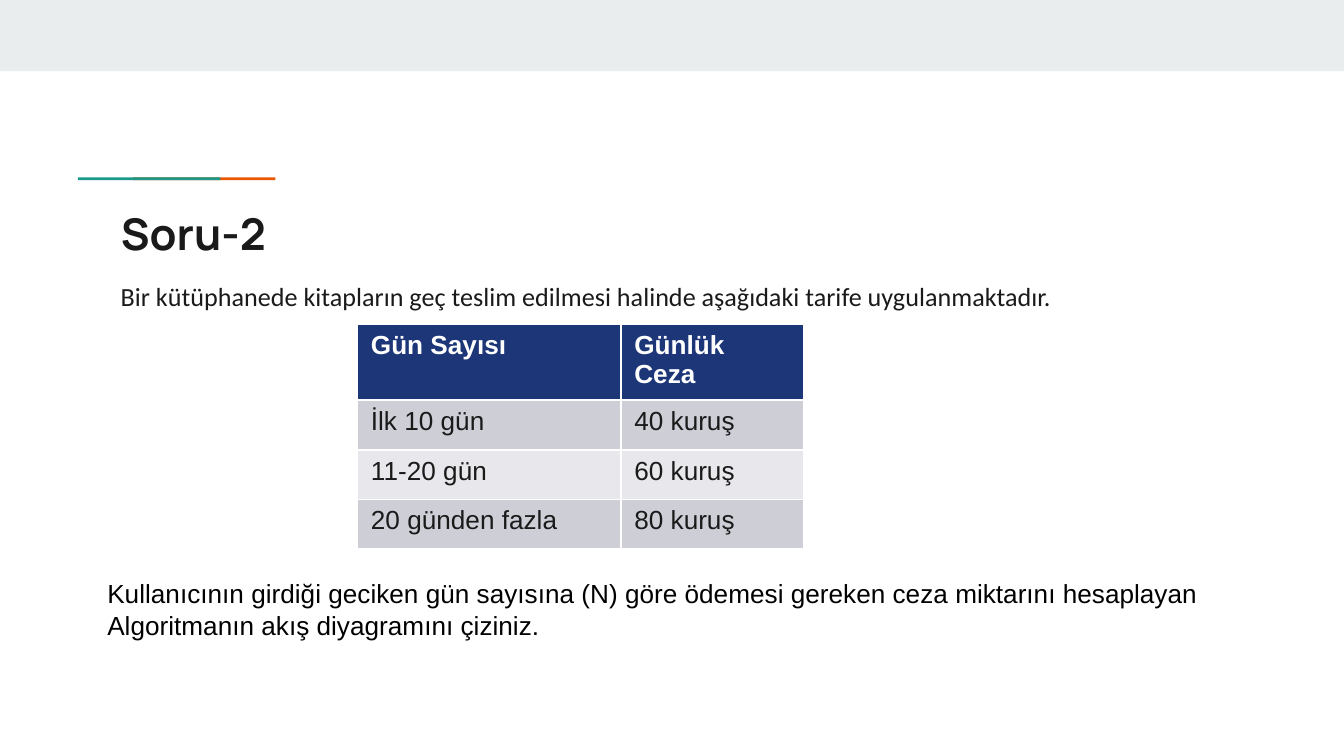
from pptx import Presentation
from pptx.dml.color import RGBColor
from pptx.enum.shapes import MSO_SHAPE
from pptx.enum.text import MSO_ANCHOR, MSO_AUTO_SIZE, PP_ALIGN
from pptx.util import Inches, Pt

INK = "1A1A1A"
WHITE = "FFFFFF"
HEADER_FILL = "1C3678"
BAND_FILLS = ("CDCED6", "E8E8EC")
TARIFF = [
    ("Gün Sayısı", "Günlük Ceza"),
    ("İlk 10 gün", "40 kuruş"),
    ("11-20 gün", "60 kuruş"),
    ("20 günden fazla", "80 kuruş"),
]
TASK = [
    "Kullanıcının girdiği geciken gün sayısına (N) göre ödemesi gereken ceza miktarını hesaplayan",
    "Algoritmanın akış diyagramını çiziniz.",
]


def color(value):
    """Turn a hex string into a colour."""
    return RGBColor.from_string(value)


def format_paragraph(paragraph, name, size, ink, bold=False):
    """Set the font and left alignment of a paragraph."""
    paragraph.alignment = PP_ALIGN.LEFT
    font = paragraph.font
    font.name, font.size, font.bold = name, Pt(size), bold
    font.color.rgb = color(ink)


def set_margins(frame, margin):
    """Give a text frame the same margin on all sides."""
    frame.margin_left = frame.margin_right = Inches(margin)
    frame.margin_top = frame.margin_bottom = Inches(margin)


def add_bar(slide, left, top, width, height, fill):
    """Add a plain filled rectangle."""
    bar = slide.shapes.add_shape(
        MSO_SHAPE.RECTANGLE, Inches(left), Inches(top), Inches(width), Inches(height))
    bar.shadow.inherit = False
    bar.fill.solid()
    bar.fill.fore_color.rgb = color(fill)
    bar.line.fill.background()


def add_accent(slide, left, top, width, height):
    """Add the two overlapping accent strokes above the title."""
    stroke = 1.06
    add_bar(slide, left + width - stroke, top, stroke, height, "EB5600")
    add_bar(slide, left, top, stroke, height, "1A9988")


def place_title(slide, left, top, width, height):
    """Move and format the title placeholder."""
    title = slide.shapes.title
    title.left, title.top = Inches(left), Inches(top)
    title.width, title.height = Inches(width), Inches(height)
    frame = title.text_frame
    frame.text = "Soru-2"
    frame.auto_size = MSO_AUTO_SIZE.NONE
    frame.vertical_anchor = MSO_ANCHOR.TOP
    set_margins(frame, 0.1)
    format_paragraph(frame.paragraphs[0], "Manrope", 23.4, INK, True)


def add_question(slide, left, top, width, height):
    """Add the sentence that introduces the tariff."""
    box = slide.shapes.add_textbox(Inches(left), Inches(top), Inches(width), Inches(height))
    frame = box.text_frame
    frame.word_wrap = True
    set_margins(frame, 0.1)
    frame.text = "Bir kütüphanede kitapların geç teslim edilmesi halinde aşağıdaki tarife uygulanmaktadır."
    paragraph = frame.paragraphs[0]
    paragraph.line_spacing = 1.15
    paragraph.space_after = Pt(12)
    format_paragraph(paragraph, "Calibri", 14, INK)


def add_tariff_table(slide, left, top, width, height):
    """Add the table of daily fines, with the white rules of the default table style."""
    shape = slide.shapes.add_table(
        len(TARIFF), 2, Inches(left), Inches(top), Inches(width), Inches(height))
    table = shape.table
    first_width = 1.96
    table.columns[0].width = Inches(first_width)
    table.columns[1].width = Inches(width - first_width)
    for row_index, values in enumerate(TARIFF):
        header = row_index == 0
        table.rows[row_index].height = Inches(0.37)
        for column_index, value in enumerate(values):
            cell = table.cell(row_index, column_index)
            cell.fill.solid()
            cell.fill.fore_color.rgb = color(
                HEADER_FILL if header else BAND_FILLS[(row_index - 1) % 2])
            cell.text = value
            format_paragraph(
                cell.text_frame.paragraphs[0], "Arial", 14, WHITE if header else INK, header)
    shape.height = Inches(height)


def add_task(slide, left, top, width, height):
    """Add the closing task text."""
    box = slide.shapes.add_textbox(Inches(left), Inches(top), Inches(width), Inches(height))
    frame = box.text_frame
    frame.word_wrap = False
    frame.auto_size = MSO_AUTO_SIZE.SHAPE_TO_FIT_TEXT
    frame.text = "\n".join(TASK)
    for paragraph in frame.paragraphs:
        format_paragraph(paragraph, "Arial", 14, "000000")


def main():
    """Build and save the slide."""
    presentation = Presentation()
    presentation.slide_width = Inches(10)
    presentation.slide_height = presentation.slide_width * 9 // 16
    slide = presentation.slides.add_slide(presentation.slide_layouts[5])
    add_bar(slide, 0, 0, 10, 0.53, "E9EDEE")
    add_accent(slide, 0.58, 1.32, 1.47, 0.02)
    place_title(slide, 0.8, 1.44, 8.41, 0.59)
    add_question(slide, 0.8, 1.95, 8.41, 2.47)
    add_tariff_table(slide, 2.66, 2.41, 3.32, 1.67)
    add_task(slide, 0.7, 4.25, 8.35, 0.57)
    presentation.save("out.pptx")


if __name__ == "__main__":
    main()
